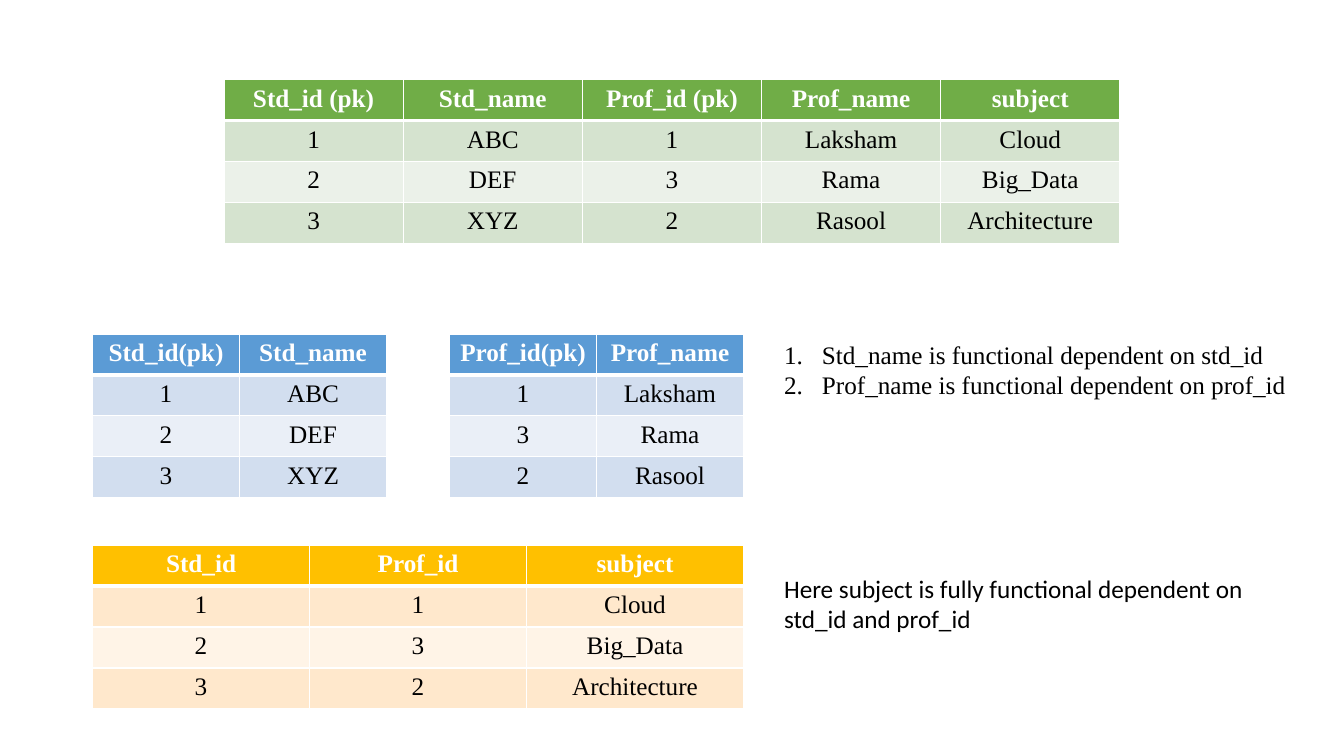
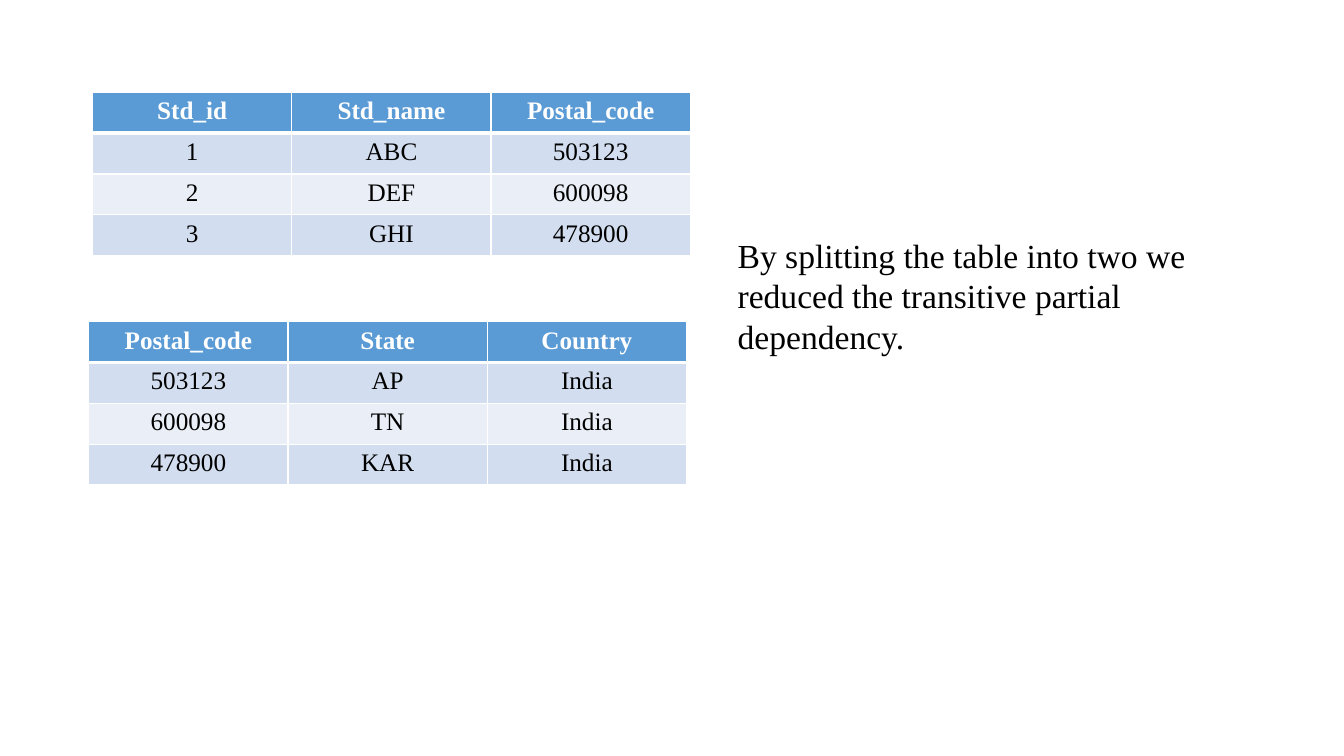
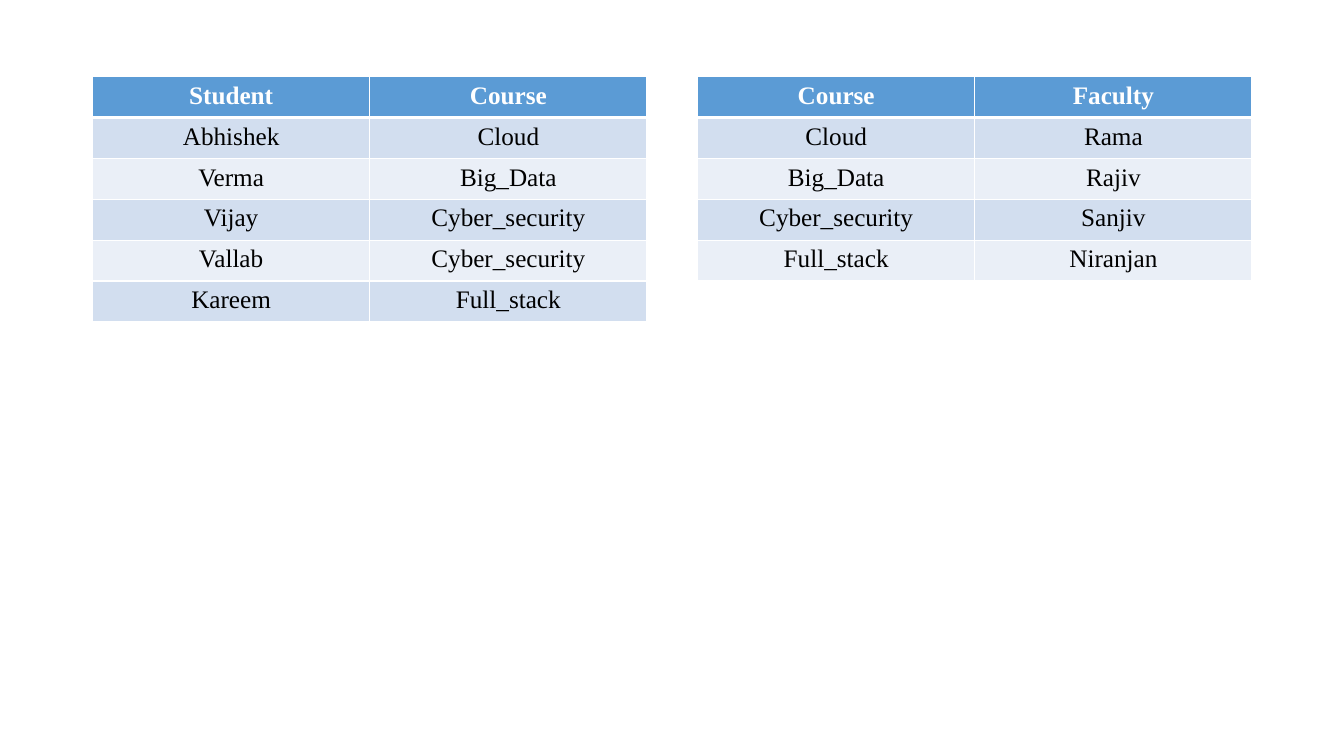
from dataclasses import dataclass

from lxml import etree
from pptx import Presentation
from pptx.dml import color as dml
from pptx.enum import text as te
from pptx.oxml import ns
from pptx.util import Pt


@dataclass(frozen=True)
class Palette:
    header: str
    odd: str
    even: str


@dataclass(frozen=True)
class Theme:
    serif: str = "Times New Roman"
    sans: str = "Calibri"
    body: float = 18
    large: float = 24
    ink: str = "000000"
    paper: str = "FFFFFF"
    thin: float = 1
    thick: float = 3
    row_height: float = 29.2
    list_indent: float = 27
    green: Palette = Palette("70AD47", "D5E3CF", "EBF1E9")
    blue: Palette = Palette("5B9BD5", "D2DEEF", "EAEFF7")
    gold: Palette = Palette("FFC000", "FFE8CC", "FFF4E7")


THEME = Theme()
MARGIN = 66.1


@dataclass(frozen=True)
class Grid:
    left: float
    top: float
    width: float
    rows: tuple[str, ...]
    palette: Palette = THEME.blue


@dataclass(frozen=True)
class Note:
    left: float
    top: float
    width: float
    height: float
    lines: tuple[str, ...]
    font: str = THEME.serif
    size: float = THEME.body
    numbered: bool = False


def write(paragraph, content: str, *, font: str = THEME.serif, size: float = THEME.body,
          color: str = THEME.ink, bold: bool = False, align=te.PP_ALIGN.LEFT) -> None:
    paragraph.alignment = align
    run = paragraph.add_run()
    run.text = content
    run.font.name = font
    run.font.size = Pt(size)
    run.font.bold = bold
    run.font.color.rgb = dml.RGBColor.from_string(color)


def number(paragraph) -> None:
    properties = paragraph._p.get_or_add_pPr()
    indent = Pt(THEME.list_indent)
    properties.set("marL", str(indent))
    properties.set("indent", str(-indent))
    etree.SubElement(properties, ns.qn("a:buFont"), typeface="+mj-lt")
    etree.SubElement(properties, ns.qn("a:buAutoNum"), type="arabicPeriod")


def set_borders(cell, *, top: float, bottom: float) -> None:
    properties = cell._tc.get_or_add_tcPr()
    widths = {"lnL": THEME.thin, "lnR": THEME.thin, "lnT": top, "lnB": bottom}
    for position, (edge, width) in enumerate(widths.items()):
        line = etree.Element(ns.qn(f"a:{edge}"), w=str(Pt(width)))
        fill = etree.SubElement(line, ns.qn("a:solidFill"))
        etree.SubElement(fill, ns.qn("a:srgbClr"), val=THEME.paper)
        properties.insert(position, line)


def draw_grid(slide, grid: Grid) -> None:
    rows = [row.split() if "|" not in row else row.split("|") for row in grid.rows]
    columns = len(rows[0])
    table = slide.shapes.add_table(
        len(rows), columns, Pt(grid.left), Pt(grid.top),
        Pt(grid.width), Pt(THEME.row_height * len(rows))).table
    for column in table.columns:
        column.width = Pt(grid.width / columns)
    for index, values in enumerate(rows):
        table.rows[index].height = Pt(THEME.row_height)
        header = index == 0
        shade = grid.palette.odd if index % 2 else grid.palette.even
        for cell, value in zip(table.rows[index].cells, values):
            cell.fill.solid()
            cell.fill.fore_color.rgb = dml.RGBColor.from_string(
                grid.palette.header if header else shade)
            set_borders(cell, top=THEME.thick if index == 1 else THEME.thin,
                        bottom=THEME.thick if header else THEME.thin)
            write(cell.text_frame.paragraphs[0], value, bold=header,
                  color=THEME.paper if header else THEME.ink,
                  align=te.PP_ALIGN.CENTER)


def draw_note(slide, note: Note) -> None:
    shape = slide.shapes.add_textbox(
        Pt(note.left), Pt(note.top), Pt(note.width), Pt(note.height))
    frame = shape.text_frame
    frame.word_wrap = True
    frame.auto_size = te.MSO_AUTO_SIZE.SHAPE_TO_FIT_TEXT
    for index, line in enumerate(note.lines):
        paragraph = frame.add_paragraph() if index else frame.paragraphs[0]
        write(paragraph, line, font=note.font, size=note.size)
        if note.numbered:
            number(paragraph)


SLIDES: tuple[tuple[Grid | Note, ...], ...] = (
    (
        Grid(160, 56.9, 640, (
            "Std_id (pk)|Std_name|Prof_id (pk)|Prof_name|subject",
            "1|ABC|1|Laksham|Cloud",
            "2|DEF|3|Rama|Big_Data",
            "3|XYZ|2|Rasool|Architecture"), THEME.green),
        Grid(MARGIN, 238.6, 210, (
            "Std_id(pk)|Std_name", "1|ABC", "2|DEF", "3|XYZ")),
        Grid(321.1, 238.6, 210, (
            "Prof_id(pk)|Prof_name", "1|Laksham", "3|Rama", "2|Rasool")),
        Note(553, 238.6, 393, 72.7, (
            "Std_name is functional dependent on std_id",
            "Prof_name is functional dependent on prof_id"), numbered=True),
        Grid(MARGIN, 389.5, 465, (
            "Std_id|Prof_id|subject",
            "1|1|Cloud", "2|3|Big_Data", "3|2|Architecture"), THEME.gold),
        Note(553, 406, 349, 51, (
            "Here subject is fully functional dependent on std_id and prof_id",),
            font=THEME.sans),
    ),
    (
        Grid(MARGIN, 65.9, 427, (
            "Std_id|Std_name|Postal_code",
            "1|ABC|503123", "2|DEF|600098", "3|GHI|478900")),
        Grid(63.4, 229.7, 427, (
            "Postal_code|State|Country",
            "503123|AP|India", "600098|TN|India", "478900|KAR|India")),
        Note(519.8, 164.2, 383, 94.3, (
            "By splitting the table into two we reduced the transitive "
            "partial dependency.",), size=THEME.large),
    ),
    (
        Grid(MARGIN, 54.8, 396, (
            "Student|Course", "Abhishek|Cloud", "Verma|Big_Data",
            "Vijay|Cyber_security", "Vallab|Cyber_security", "Kareem|Full_stack")),
        Grid(498.3, 54.8, 396, (
            "Course|Faculty", "Cloud|Rama", "Big_Data|Rajiv",
            "Cyber_security|Sanjiv", "Full_stack|Niranjan")),
    ),
)


def main() -> None:
    presentation = Presentation()
    presentation.slide_width, presentation.slide_height = Pt(960), Pt(540)
    blank = presentation.slide_layouts.get_by_name("Blank")
    for items in SLIDES:
        slide = presentation.slides.add_slide(blank)
        for item in items:
            if isinstance(item, Grid):
                draw_grid(slide, item)
            else:
                draw_note(slide, item)
    presentation.save("out.pptx")


main()
